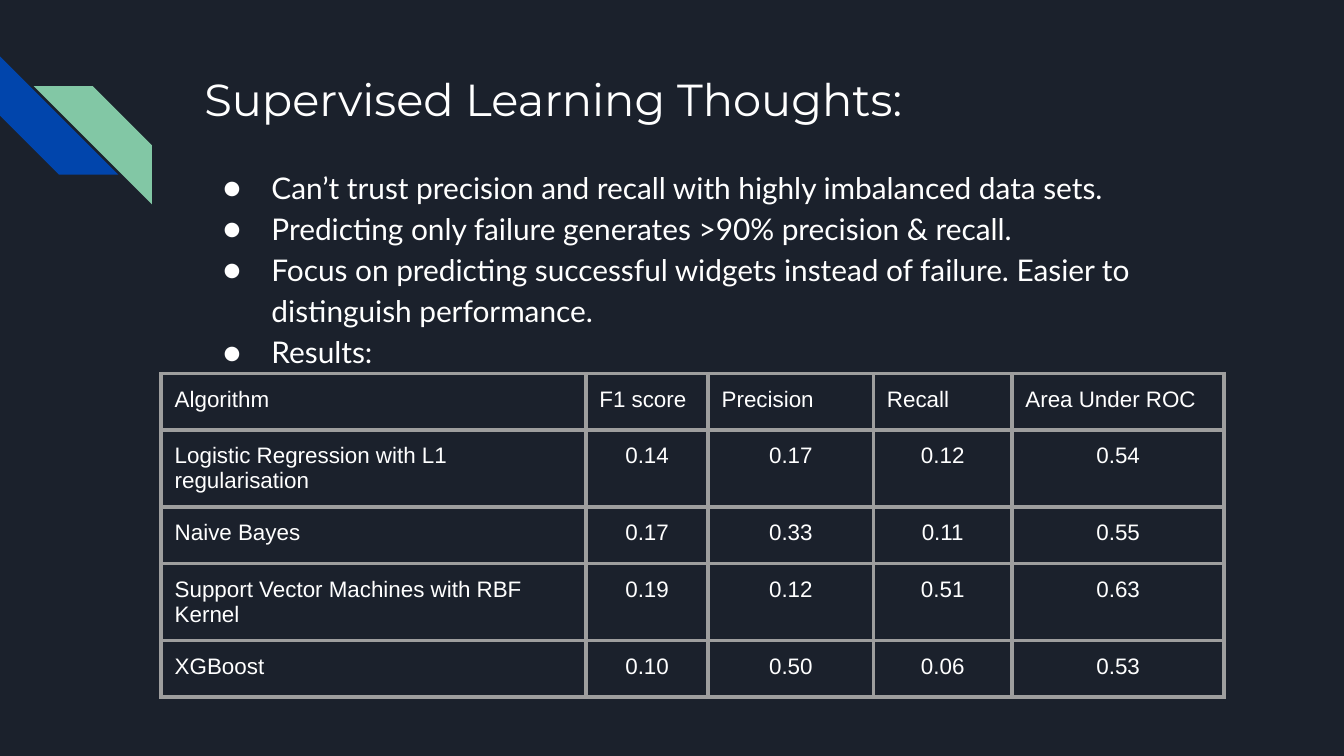
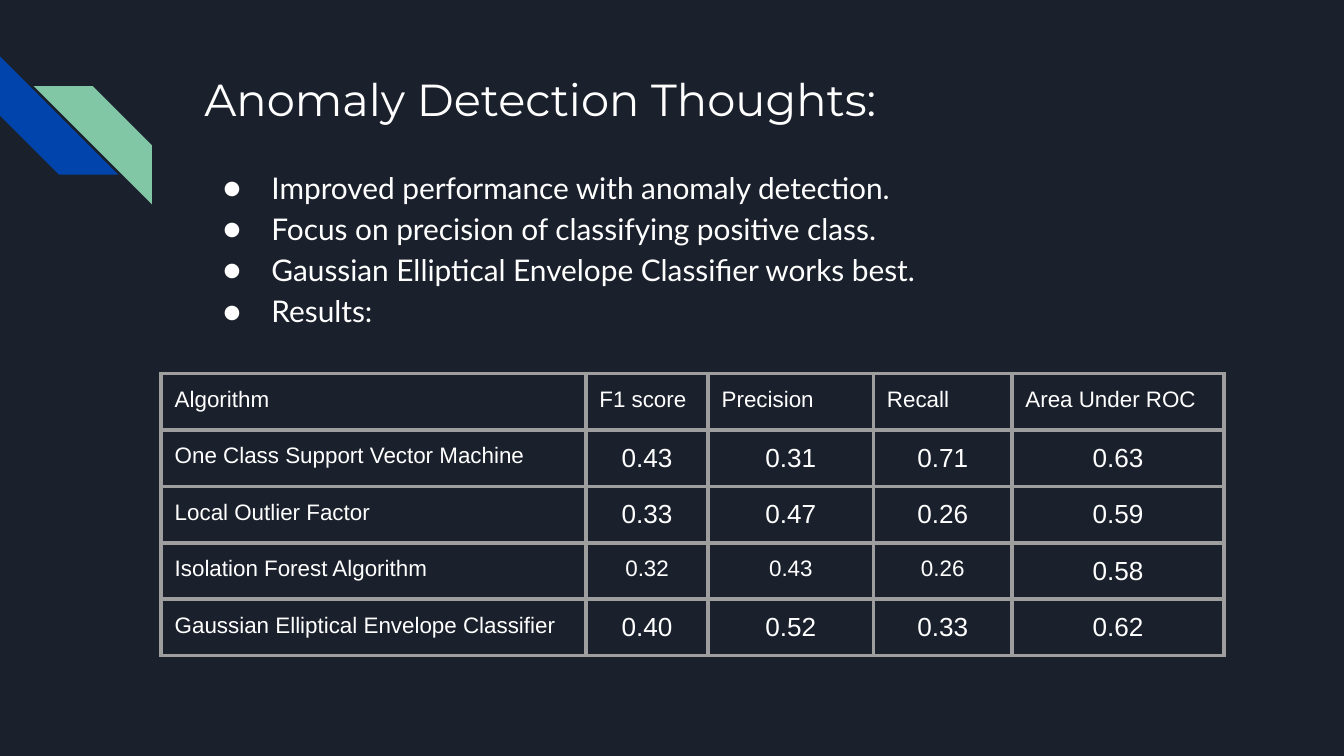
"""Build two slides on model results, each with a bullet list and a score table."""
from lxml import etree
from pptx import Presentation
from pptx import util as u
from pptx.dml.color import RGBColor
from pptx.enum import shapes, text
from pptx.oxml import ns

NAVY = RGBColor(0x1B, 0x21, 0x2C)
BLUE = RGBColor(0x01, 0x45, 0xAC)
GREEN = RGBColor(0x82, 0xC7, 0xA5)
WHITE = RGBColor(0xFF, 0xFF, 0xFF)
GREY = RGBColor(0x9E, 0x9E, 0x9E)

INSET = u.Inches(0.1)
STRIPE_SIZE = 0.88
STRIPES = [(0, 0.42, 270, BLUE), (0.25, 0.64, 90, GREEN)]
COLUMN_WIDTHS = [3.16, 0.91, 1.23, 1.03, 1.58]
ROW_HEIGHT = 0.42
HEADINGS = ["Algorithm", "F1 score", "Precision", "Recall", "Area Under ROC"]

SUPERVISED_POINTS = [
    "Can’t trust precision and recall with highly imbalanced data sets.",
    "Predicting only failure generates >90% precision & recall.",
    "Focus on predicting successful widgets instead of failure. "
    "Easier to distinguish performance.",
    "Results:",
]
SUPERVISED_SCORES = [
    ["Logistic Regression with L1 regularisation", "0.14", "0.17", "0.12", "0.54"],
    ["Naive Bayes", "0.17", "0.33", "0.11", "0.55"],
    ["Support Vector Machines with RBF Kernel", "0.19", "0.12", "0.51", "0.63"],
    ["XGBoost", "0.10", "0.50", "0.06", "0.53"],
]
ANOMALY_POINTS = [
    "Improved performance with anomaly detection.",
    "Focus on precision of classifying positive class.",
    "Gaussian Elliptical Envelope Classifier works best.",
    "Results:",
]
ANOMALY_SCORES = [
    ["One Class Support Vector Machine", "0.43", "0.31", "0.71", "0.63"],
    ["Local Outlier Factor", "0.33", "0.47", "0.26", "0.59"],
    ["Isolation Forest Algorithm", "0.32", "0.43", "0.26", "0.58"],
    ["Gaussian Elliptical Envelope Classifier", "0.40", "0.52", "0.33", "0.62"],
]
ANOMALY_SMALL = {(3, 1), (3, 2), (3, 3)}


def add_run(paragraph, wording, font, size):
    """Add one white run to a paragraph."""
    run = paragraph.add_run()
    run.text = wording
    run.font.name = font
    run.font.size = u.Pt(size)
    run.font.color.rgb = WHITE


def set_insets(holder):
    """Give a text frame or a cell the same margin on all sides."""
    holder.margin_left = holder.margin_right = INSET
    holder.margin_top = holder.margin_bottom = INSET


def place(placeholder, left, top, width, height):
    """Move a placeholder and return its top-anchored text frame."""
    placeholder.left, placeholder.top = u.Inches(left), u.Inches(top)
    placeholder.width, placeholder.height = u.Inches(width), u.Inches(height)
    frame = placeholder.text_frame
    frame.word_wrap = True
    frame.auto_size = text.MSO_AUTO_SIZE.NONE
    frame.vertical_anchor = text.MSO_ANCHOR.TOP
    set_insets(frame)
    return frame


def add_stripes(slide):
    """Draw the two diagonal stripes at the left edge."""
    for left, top, angle, colour in STRIPES:
        stripe = slide.shapes.add_shape(
            shapes.MSO_SHAPE.DIAGONAL_STRIPE, u.Inches(left), u.Inches(top),
            u.Inches(STRIPE_SIZE), u.Inches(STRIPE_SIZE))
        stripe.adjustments[0] = 0.5
        stripe.rotation = angle
        stripe.shadow.inherit = False
        stripe.fill.solid()
        stripe.fill.fore_color.rgb = colour
        stripe.line.fill.background()


def set_title(slide, wording):
    """Fill the title placeholder."""
    title = place(slide.shapes.title, 1.42, 0.43, 7.7, 1).paragraphs[0]
    title.alignment = text.PP_ALIGN.LEFT
    add_run(title, wording, "Montserrat", 24)


def set_bullet(paragraph):
    """Give a paragraph a hanging white disc."""
    properties = paragraph._p.get_or_add_pPr()
    properties.set("marL", str(u.Inches(0.5)))
    properties.set("indent", str(u.Inches(-0.36)))
    colour = etree.SubElement(properties, ns.qn("a:buClr"))
    etree.SubElement(colour, ns.qn("a:srgbClr"), val=str(WHITE))
    etree.SubElement(properties, ns.qn("a:buFont"), typeface="Lato")
    etree.SubElement(properties, ns.qn("a:buChar"), char="●")


def set_points(slide, points):
    """Fill the body placeholder with a bullet list."""
    body = place(slide.placeholders[1], 1.42, 1.12, 7.92, 3.98)
    for index, wording in enumerate(points):
        point = body.add_paragraph() if index else body.paragraphs[0]
        point.line_spacing = 1.15
        point.space_before = u.Pt(0)
        set_bullet(point)
        add_run(point, wording, "Lato", 16)


def set_borders(cell):
    """Draw a grey line on each side of a cell."""
    properties = cell._tc.get_or_add_tcPr()
    for side in ("lnL", "lnR", "lnT", "lnB"):
        line = etree.SubElement(properties, ns.qn(f"a:{side}"), w=str(u.Pt(2.25)))
        fill = etree.SubElement(line, ns.qn("a:solidFill"))
        etree.SubElement(fill, ns.qn("a:srgbClr"), val=str(GREY))


def add_scores(slide, scores, score_size=12, small=frozenset()):
    """Add the score table; cells listed in small keep the 12 point size."""
    rows = [HEADINGS] + scores
    table = slide.shapes.add_table(
        len(rows), len(HEADINGS), u.Inches(1.2), u.Inches(2.78),
        u.Inches(sum(COLUMN_WIDTHS)), u.Inches(ROW_HEIGHT * len(rows))).table
    table.first_row = table.horz_banding = False
    for column, width in zip(table.columns, COLUMN_WIDTHS):
        column.width = u.Inches(width)
    for r, row in enumerate(rows):
        table.rows[r].height = u.Inches(ROW_HEIGHT)
        for c, wording in enumerate(row):
            cell = table.cell(r, c)
            set_insets(cell)
            set_borders(cell)
            cell.fill.background()
            paragraph = cell.text_frame.paragraphs[0]
            is_score = r > 0 and c > 0
            if is_score:
                paragraph.alignment = text.PP_ALIGN.CENTER
            size = score_size if is_score and (r, c) not in small else 12
            add_run(paragraph, wording, "Arial", size)


def add_thoughts(deck, title, points):
    """Add a slide with stripes, title and bullet list."""
    slide = deck.slides.add_slide(deck.slide_layouts[1])
    add_stripes(slide)
    set_title(slide, title)
    set_points(slide, points)
    return slide


def main():
    """Build and save the deck."""
    deck = Presentation()
    deck.slide_width, deck.slide_height = u.Inches(10), u.Inches(5.625)
    backdrop = deck.slide_master.background.fill
    backdrop.solid()
    backdrop.fore_color.rgb = NAVY

    supervised = add_thoughts(deck, "Supervised Learning Thoughts:", SUPERVISED_POINTS)
    add_scores(supervised, SUPERVISED_SCORES)
    anomaly = add_thoughts(deck, "Anomaly Detection Thoughts:", ANOMALY_POINTS)
    add_scores(anomaly, ANOMALY_SCORES, 14, ANOMALY_SMALL)
    deck.save("out.pptx")


if __name__ == "__main__":
    main()
